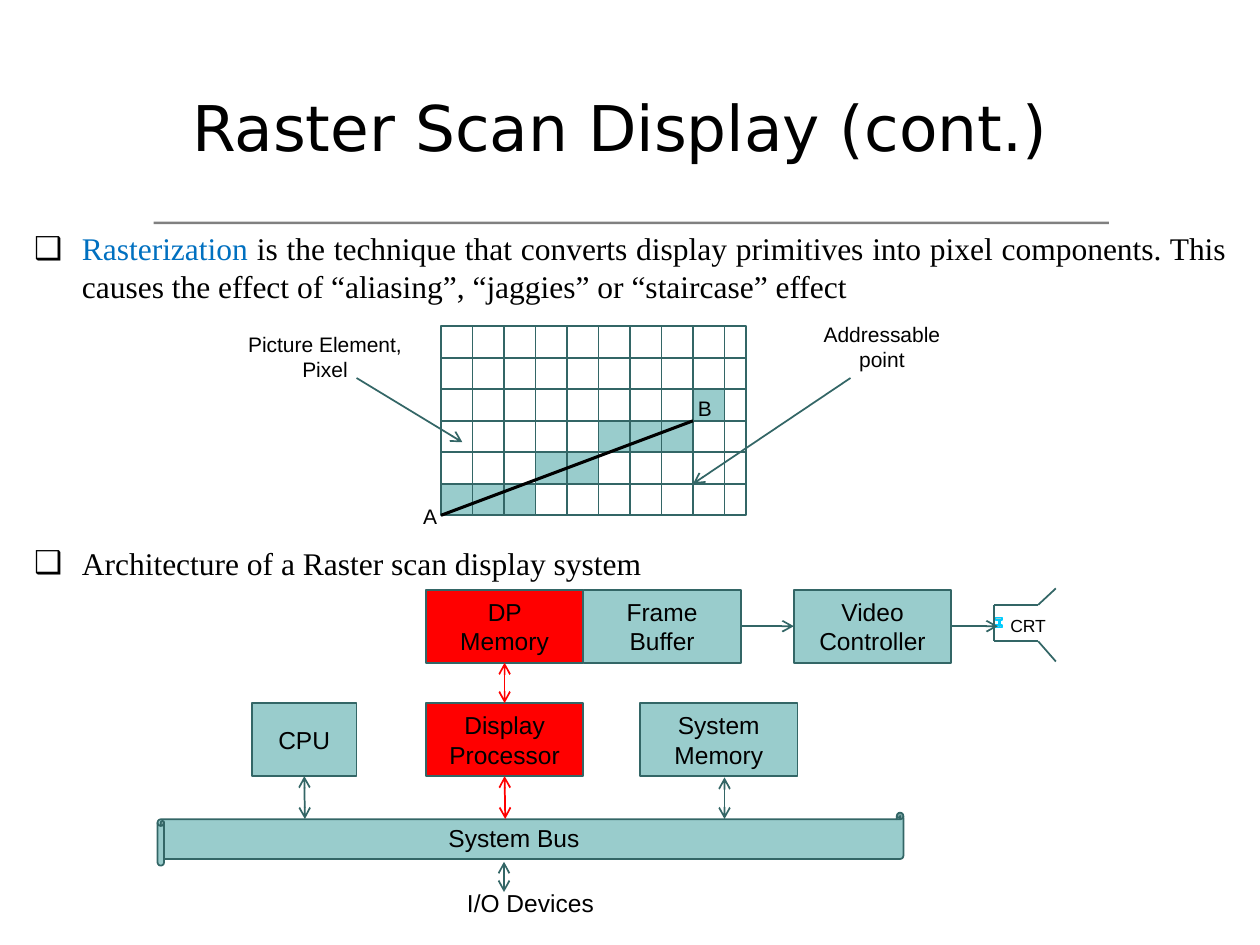
import math

from lxml import etree
from pptx import Presentation
from pptx.dml.color import RGBColor
from pptx.enum import shapes as kinds, text
from pptx.oxml import ns
from pptx.util import Inches, Pt

TEAL, PALE, RED, BLACK = "336666", "99CCCC", "FF0000", "000000"
CELL = 0.25


def rgb(value):
    """Return the colour for a hex string."""
    return RGBColor.from_string(value)


def add_box(parent, box, fill=None, line=TEAL, kind=kinds.MSO_SHAPE.RECTANGLE):
    """Add a preset shape in a box of inches with plain fill and line."""
    shape = parent.shapes.add_shape(kind, *map(Inches, box))
    paint(shape, fill, line)
    return shape


def paint(shape, fill, line, width=1):
    """Set fill and line of a shape and drop its shadow."""
    shape.shadow.inherit = False
    if fill:
        shape.fill.solid()
        shape.fill.fore_color.rgb = rgb(fill)
    else:
        shape.fill.background()
    if line:
        shape.line.color.rgb = rgb(line)
        shape.line.width = Pt(width)
    else:
        shape.line.fill.background()


def write(shape, words, size, align=text.PP_ALIGN.CENTER, margin=0.1):
    """Write one Arial paragraph into a shape."""
    frame = shape.text_frame
    frame.word_wrap = True
    frame.margin_left = frame.margin_right = Inches(margin)
    paragraph = frame.paragraphs[0]
    paragraph.text = words
    paragraph.alignment = align
    paragraph.font.size = Pt(size)
    paragraph.font.name = "Arial"
    paragraph.font.color.rgb = rgb(BLACK)


def add_label(parent, box, words, size, align=text.PP_ALIGN.CENTER):
    """Add a text box in a box of inches."""
    write(parent.shapes.add_textbox(*map(Inches, box)), words, size, align)


def add_line(parent, start, end, color=TEAL, width=1, heads=()):
    """Add a straight line, with open arrowheads at the ends named in heads."""
    line = parent.shapes.add_connector(
        kinds.MSO_CONNECTOR.STRAIGHT, *map(Inches, (*start, *end)))
    line.line.color.rgb = rgb(color)
    line.line.width = Pt(width)
    for head in heads:
        etree.SubElement(line.line._get_or_add_ln(), ns.qn(f"a:{head}"), type="arrow")
    etree.SubElement(line._element.spPr, ns.qn("a:effectLst"))
    return line


def add_outline(parent, points, fill, line, width=1, close=True):
    """Add a freeform through points given in inches."""
    builder = parent.shapes.build_freeform(*points[0], scale=Inches(1))
    builder.add_line_segments(points[1:], close=close)
    paint(builder.convert_to_shape(), fill, line, width)


def add_heading(slide, left, top, width, height):
    """Fill the title placeholder and underline it."""
    add_box(slide, (left + 1.22, top + 1.26, 7.58, 0.02), "808080", None)
    title = slide.shapes.title
    title.left, title.top, title.width, title.height = map(
        Inches, (left, top, width, height))
    title.text_frame.vertical_anchor = text.MSO_ANCHOR.MIDDLE
    paragraph = title.text_frame.paragraphs[0]
    paragraph.text = "Raster Scan Display (cont.) "
    paragraph.alignment = text.PP_ALIGN.CENTER
    paragraph.font.size = Pt(36)
    paragraph.font.name = "DejaVu Sans"
    paragraph.font.color.rgb = rgb(BLACK)


def add_points(slide, left, top, width, height):
    """Fill the body placeholder with the two bulleted statements."""
    body = slide.placeholders[1]
    body.left, body.top, body.width, body.height = map(
        Inches, (left, top, width, height))
    frame = body.text_frame
    frame.auto_size = text.MSO_AUTO_SIZE.NONE
    statements = (
        (0, (("Rasterization", "0070C0"),
             (" is the technique that converts display primitives into pixel "
              "components. This causes the effect of “aliasing”, “jaggies” or "
              "“staircase” effect", BLACK))),
        (136.5, (("Architecture of a Raster scan display system", BLACK),)),
    )
    for index, (gap, runs) in enumerate(statements):
        paragraph = frame.add_paragraph() if index else frame.paragraphs[0]
        paragraph.alignment = text.PP_ALIGN.JUSTIFY
        paragraph.space_before = Pt(gap)
        properties = paragraph._p.get_or_add_pPr()
        properties.set("marL", str(Inches(0.38)))
        properties.set("indent", str(-Inches(0.38)))
        bullet_color = etree.SubElement(properties, ns.qn("a:buClr"))
        etree.SubElement(bullet_color, ns.qn("a:srgbClr"), val=BLACK)
        etree.SubElement(properties, ns.qn("a:buChar"), char="❑")
        paragraph.font.size = Pt(18)
        paragraph.font.name = "Times New Roman"
        for words, color in runs:
            run = paragraph.add_run()
            run.text = words
            run.font.color.rgb = rgb(color)


def add_pixel_grid(slide, left, top, width, height):
    """Draw the pixel grid with the line from A to B and its callouts."""
    grid = slide.shapes.add_group_shape()
    right, bottom = left + width, top + height
    add_box(grid, (left, top, width, height))
    for row in range(1, 6):
        y = top + row * CELL
        add_line(grid, (left, y), (right, y))
    for column in range(1, 10):
        x = left + column * CELL
        add_line(grid, (x, top), (x, bottom))
    lit = ((5, range(3)), (4, range(3, 5)), (3, range(5, 8)), (2, range(8, 9)))
    for row, columns in lit:
        for column in columns:
            add_box(grid, (left + column * CELL, top + row * CELL, CELL, CELL), PALE)
    add_line(grid, (left, bottom), (left + 8 * CELL, top + 3 * CELL), BLACK, 1.75)
    add_label(grid, (left - 1.67, top - 0.01, 1.5, 0.5), "Picture Element, Pixel", 12)
    add_label(grid, (left + 2.75, top - 0.09, 1.5, 0.5), "Addressable point", 12)
    add_line(grid, (left - 0.67, top + 0.41), (left + 0.17, top + 0.92), heads=["tailEnd"])
    add_line(grid, (left + 3.25, top + 0.41), (left + 2, top + 1.25), heads=["tailEnd"])
    add_label(grid, (left - 0.25, top + 1.36, 0.33, 0.3), "A", 12)
    add_label(grid, (left + 1.93, top + 0.5, 0.33, 0.3), "B", 12)


def add_tube(parent, left, top, width, height):
    """Draw the cathode ray tube with its gun and curved screen."""
    neck, screen = left + 0.35, left + width - 0.02
    upper, lower, middle = top + 0.13, top + 0.42, top + height / 2
    for x, y, w, h in ((0.01, 0.23, 0.05, 0.02), (0.01, 0.29, 0.05, 0.02),
                       (0.04, 0.25, 0.01, 0.05)):
        add_box(parent, (left + x, top + y, w, h), PALE, "00CCFF")
    beam = ((0.01, 0.26), (0.03, 0.27), (0.04, 0.27), (0.03, 0.28), (0.01, 0.28))
    add_outline(parent, [(left + x, top + y) for x, y in beam],
                None, "C00000", 2, close=False)
    for y, edge in ((upper, top), (lower, top + height)):
        add_line(parent, (left, y), (neck, y))
        add_line(parent, (neck, y), (screen, edge))
    angles = [math.radians(step * 15 - 90) for step in range(13)]
    add_outline(parent, [(screen + 0.02 * math.cos(a), middle + height / 2 * math.sin(a))
                         for a in angles], PALE, TEAL)
    add_line(parent, (left, upper), (left, lower))
    add_label(parent, (left + 0.03, top + 0.16, 0.5, 0.27), "CRT", 10,
              text.PP_ALIGN.LEFT)


def add_architecture(slide, left, top, width, height):
    """Draw the blocks of the display system and the bus that joins them."""
    system = slide.shapes.add_group_shape()
    both = ("headEnd", "tailEnd")
    lower, bus = top + 0.91, top + 1.78

    def block(x, y, words, fill=PALE, block_width=1.25):
        shape = add_box(system, (left + x, y, block_width, 0.58), fill)
        write(shape, words, 14, margin=0.15)
        return shape

    cpu = block(0.75, lower, "CPU", block_width=0.83)
    processor = block(2.13, lower, "Display Processor", RED)
    block(3.83, lower, "System Memory")
    dp_memory = block(2.13, top + 0.01, "DP Memory", RED)
    buffer = block(3.38, top + 0.01, "Frame Buffer")
    controller = block(5.05, top + 0.01, "Video Controller")
    add_tube(system, left + 6.64, top, 0.51, 0.58)
    add_box(system, (left, bus, 5.92, 0.42), PALE,
            kind=kinds.MSO_SHAPE.HORIZONTAL_SCROLL)
    add_label(system, (left + 2.08, bus + 0.03, 1.5, 0.34), "System Bus", 14)
    add_label(system, (left + 2, top + height - 0.34, 1.92, 0.34), "I/O Devices", 14)

    axis = top + 0.3
    to_tube = add_line(system, (left + 6.3, axis), (left + 6.67, axis), heads=["tailEnd"])
    to_tube.begin_connect(controller, 3)
    to_controller = add_line(system, (left + 4.63, axis), (left + 5.05, axis),
                             heads=["tailEnd"])
    to_controller.begin_connect(buffer, 3)
    to_controller.end_connect(controller, 1)
    memory_link = add_line(system, (left + 2.76, lower), (left + 2.76, top + 0.59),
                           RED, heads=both)
    memory_link.begin_connect(processor, 0)
    memory_link.end_connect(dp_memory, 2)
    for x, color, source in ((1.17, TEAL, cpu), (2.76, RED, processor),
                             (4.5, TEAL, None)):
        link = add_line(system, (left + x, lower + 0.59), (left + x, bus + 0.05),
                        color, heads=both)
        if source:
            link.begin_connect(source, 2)
    add_line(system, (left + 2.75, bus + 0.63), (left + 2.75, bus + 0.39), heads=both)


def main():
    """Build the slide and save it."""
    deck = Presentation()
    deck.slide_width, deck.slide_height = Inches(10), Inches(7.5)
    slide = deck.slides.add_slide(deck.slide_layouts[1])
    add_heading(slide, 0, 0.5, 10, 1)
    add_points(slide, 0.17, 1.77, 9.67, 2.92)
    add_pixel_grid(slide, 3.5, 2.59, 2.42, 1.5)
    add_architecture(slide, 1.25, 4.67, 7.15, 2.67)
    deck.save("out.pptx")


if __name__ == "__main__":
    main()
